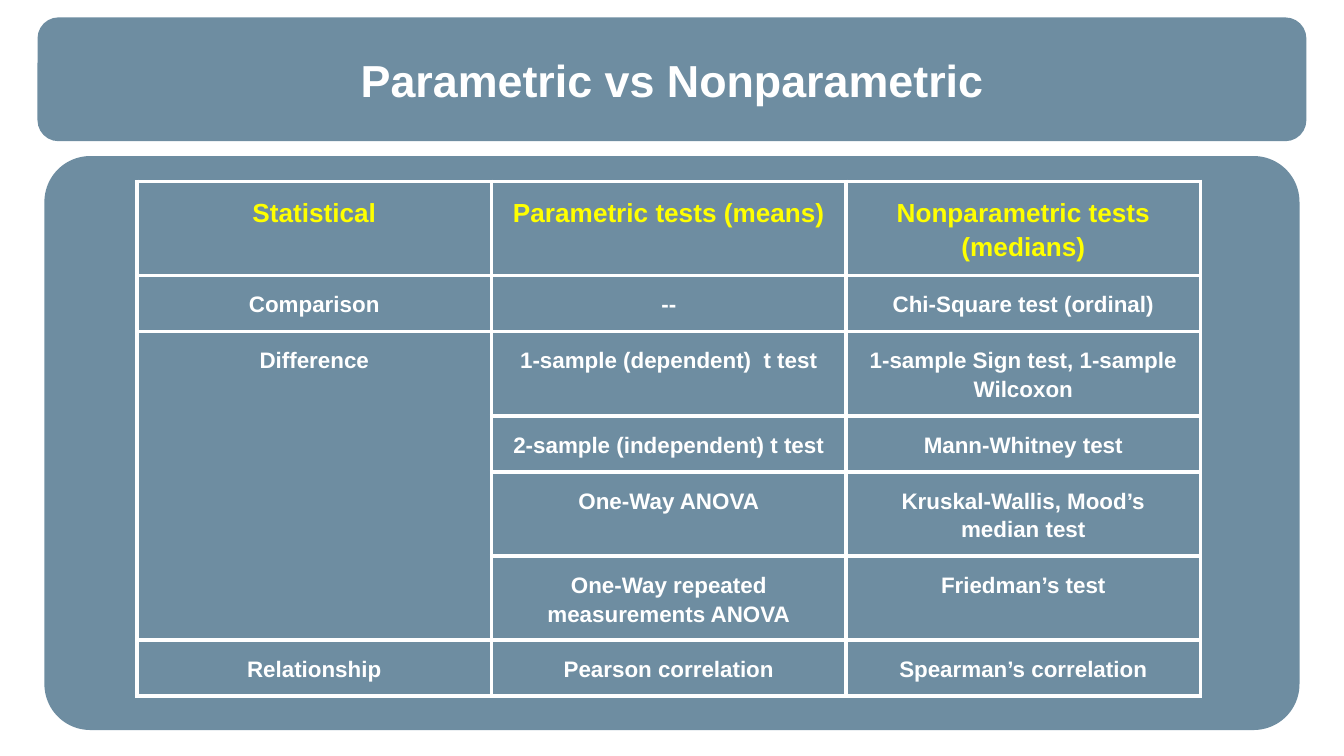
from dataclasses import dataclass

from lxml.etree import SubElement
from pptx import Presentation
from pptx.dml.color import RGBColor
from pptx.enum.shapes import MSO_SHAPE
from pptx.enum.text import MSO_ANCHOR, PP_ALIGN
from pptx.oxml import parse_xml
from pptx.oxml.ns import nsdecls, qn
from pptx.util import Cm, Pt


@dataclass(frozen=True)
class Theme:
    """Colours, font and type sizes of the deck."""
    font: str = "Arial"
    panel: str = "215170"
    panel_alpha: int = 65
    text: str = "FFFFFF"
    heading: str = "FFFF00"
    border: str = "FFFFFF"
    border_width: float = 2.25
    title_size: int = 24
    heading_size: int = 14
    body_size: int = 12


@dataclass(frozen=True)
class Box:
    """A region in centimetres."""
    left: float
    top: float
    width: float
    height: float

    def lengths(self):
        """Return the four measures as slide lengths."""
        return Cm(self.left), Cm(self.top), Cm(self.width), Cm(self.height)


THEME = Theme()
INSET = Cm(0.25)
ROWS = [
    ("Statistical", "Parametric tests (means)", "Nonparametric tests (medians)"),
    ("Comparison", "--", "Chi-Square test (ordinal)"),
    ("Difference", "1-sample (dependent)  t test", "1-sample Sign test, 1-sample Wilcoxon"),
    ("", "2-sample (independent) t test", "Mann-Whitney test"),
    ("", "One-Way ANOVA", "Kruskal-Wallis, Mood’s median test"),
    ("", "One-Way repeated measurements ANOVA", "Friedman’s test"),
    ("Relationship", "Pearson correlation", "Spearman’s correlation"),
]
DIFFERENCE_ROWS = (2, 5)


def format_text(frame, size, color):
    """Centre the text and give its runs the theme's bold font."""
    for para in frame.paragraphs:
        para.alignment = PP_ALIGN.CENTER
        for span in para.runs:
            span.font.name = THEME.font
            span.font.size = Pt(size)
            span.font.bold = True
            span.font.color.rgb = RGBColor.from_string(color)


def add_panel(page, box, rounding):
    """Draw a translucent rounded panel that fills the box."""
    panel = page.shapes.add_shape(MSO_SHAPE.ROUNDED_RECTANGLE, *box.lengths())
    panel.adjustments[0] = rounding
    panel.shadow.inherit = False
    panel.line.fill.background()
    panel.fill.solid()
    panel.fill.fore_color.rgb = RGBColor.from_string(THEME.panel)
    color = panel._element.spPr.find(qn("a:solidFill"))[0]
    SubElement(color, qn("a:alpha"), val=str(THEME.panel_alpha * 1000))


def place_title(page, box, text):
    """Bring the title above the panels and set it in the box."""
    title = page.shapes.title
    page.shapes._spTree.append(title._element)
    title.left, title.top, title.width, title.height = box.lengths()
    frame = title.text_frame
    frame.text = text
    frame.word_wrap = True
    frame.vertical_anchor = MSO_ANCHOR.MIDDLE
    frame.margin_left = frame.margin_right = INSET
    frame.margin_top = frame.margin_bottom = INSET
    format_text(frame, THEME.title_size, THEME.text)


def style_cell(cell, size, color):
    """Give a cell its margins, type, clear fill and borders."""
    cell.margin_left = cell.margin_right = INSET
    cell.margin_top = cell.margin_bottom = INSET
    cell.vertical_anchor = MSO_ANCHOR.TOP
    format_text(cell.text_frame, size, color)
    for para in cell.text_frame.paragraphs:
        para.line_spacing = 1.15
    cell.fill.background()
    properties = cell._tc.get_or_add_tcPr()
    for position, side in enumerate("LRTB"):
        properties.insert(position, parse_xml(
            f'<a:ln{side} {nsdecls("a")} w="{Pt(THEME.border_width)}">'
            f'<a:solidFill><a:srgbClr val="{THEME.border}"/></a:solidFill></a:ln{side}>'))


def add_test_table(page, box, rows):
    """Lay out the test comparison in equal columns and rows within the box."""
    table = page.shapes.add_table(len(rows), len(rows[0]), *box.lengths()).table
    table.first_row = False
    table.horz_banding = False
    for row_index, texts in enumerate(rows):
        size, color = ((THEME.body_size, THEME.text) if row_index
                       else (THEME.heading_size, THEME.heading))
        for column_index, text in enumerate(texts):
            cell = table.cell(row_index, column_index)
            cell.text_frame.text = text
            style_cell(cell, size, color)
    first, last = DIFFERENCE_ROWS
    table.cell(first, 0).merge(table.cell(last, 0))


def build_comparison_page(deck):
    """Build the page that sets parametric against nonparametric tests."""
    page = deck.slides.add_slide(deck.slide_layouts[5])
    add_panel(page, Box(0.71, 0.33, 23.98, 2.34), 0.17)
    add_panel(page, Box(0.84, 2.95, 23.72, 10.85), 0.08)
    place_title(page, Box(0.84, 0.74, 23.72, 1.52), "Parametric vs Nonparametric")
    add_test_table(page, Box(2.59, 3.43, 20.1, 7.42), ROWS)


def main():
    """Create and save the deck."""
    deck = Presentation()
    deck.slide_width, deck.slide_height = Cm(25.4), Cm(14.29)
    build_comparison_page(deck)
    deck.save("out.pptx")


if __name__ == "__main__":
    main()
